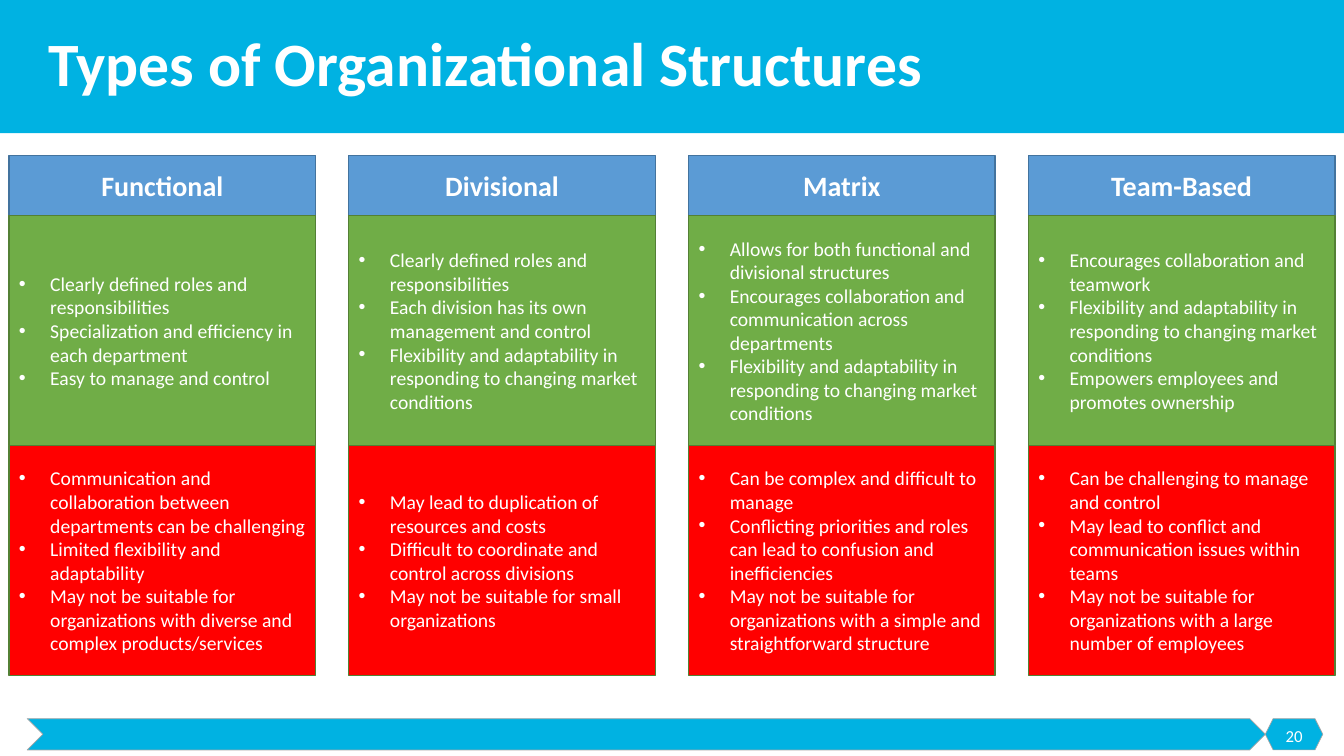
from lxml.etree import SubElement
from pptx import Presentation
from pptx.dml.color import RGBColor
from pptx.enum.shapes import MSO_SHAPE
from pptx.enum.text import MSO_ANCHOR, PP_ALIGN
from pptx.oxml.ns import qn
from pptx.util import Inches, Pt


def color(value):
    return RGBColor.from_string(value)


def add_box(kind, x, y, w, h, fill=None, line=None, weight=1, lines=(),
            size=14, bold=False, align=PP_ALIGN.LEFT, bullets=False):
    sp = s.shapes.add_shape(kind, Inches(x), Inches(y), Inches(w), Inches(h))
    sp.shadow.inherit = False
    if fill:
        sp.fill.solid()
        sp.fill.fore_color.rgb = color(fill)
    else:
        sp.fill.background()
    if line:
        sp.line.color.rgb = color(line)
        sp.line.width = Pt(weight)
    else:
        sp.line.fill.background()
    tf = sp.text_frame
    tf.word_wrap = True
    tf.vertical_anchor = MSO_ANCHOR.MIDDLE
    tf.text = "\n".join(lines)
    for p in tf.paragraphs:
        p.alignment = align
        if bullets:
            pPr = p._p.get_or_add_pPr()
            pPr.set("marL", str(Inches(0.31)))
            pPr.set("indent", str(-Inches(0.31)))
            SubElement(pPr, qn("a:buFont")).set("typeface", "Arial")
            SubElement(pPr, qn("a:buChar")).set("char", "•")
        for r in p.runs:
            r.font.name = "Calibri"
            r.font.size = Pt(size)
            r.font.bold = bold
            r.font.color.rgb = color("FFFFFF")
    return sp


STRUCTURES = [
    ("Functional",
     ["Clearly defined roles and responsibilities",
      "Specialization and efficiency in each department",
      "Easy to manage and control"],
     ["Communication and collaboration between departments can be challenging",
      "Limited flexibility and adaptability",
      "May not be suitable for organizations with diverse and complex products/services"]),
    ("Divisional",
     ["Clearly defined roles and responsibilities",
      "Each division has its own management and control",
      "Flexibility and adaptability in responding to changing market conditions"],
     ["May lead to duplication of resources and costs",
      "Difficult to coordinate and control across divisions",
      "May not be suitable for small organizations"]),
    ("Matrix",
     ["Allows for both functional and divisional structures",
      "Encourages collaboration and communication across departments",
      "Flexibility and adaptability in responding to changing market conditions"],
     ["Can be complex and difficult to manage",
      "Conflicting priorities and roles can lead to confusion and inefficiencies",
      "May not be suitable for organizations with a simple and straightforward structure"]),
    ("Team-Based",
     ["Encourages collaboration and teamwork",
      "Flexibility and adaptability in responding to changing market conditions",
      "Empowers employees and promotes ownership"],
     ["Can be challenging to manage and control",
      "May lead to conflict and communication issues within teams",
      "May not be suitable for organizations with a large number of employees"]),
]
WIDTH, HEIGHT = 13.33, 7.5
CYAN, GRAY = "00B2E2", "A5A5A5"
MARGIN, TOP = 0.09, 1.54
CARD_W, HEAD_H, BODY_H = 3.04, 0.6, 2.28
PITCH = (WIDTH - 2 * MARGIN - CARD_W) / (len(STRUCTURES) - 1)
BANNER_H = 1.32
FOOTER_Y, FOOTER_H = 7.13, 0.31
NUMBER_X, NUMBER_W = 12.55, 0.57

prs = Presentation()
prs.slide_width, prs.slide_height = Inches(WIDTH), Inches(HEIGHT)
s = prs.slides.add_slide(prs.slide_layouts[6])

add_box(MSO_SHAPE.RECTANGLE, 0, 0, WIDTH, BANNER_H, CYAN)
add_box(MSO_SHAPE.CHEVRON, 0.27, FOOTER_Y, NUMBER_X - 0.27, FOOTER_H, CYAN, GRAY, 0.5)
add_box(MSO_SHAPE.HEXAGON, NUMBER_X, FOOTER_Y, NUMBER_W, FOOTER_H, CYAN, GRAY, 0.5)
title = add_box(MSO_SHAPE.RECTANGLE, 0.38, 0, 12.74, BANNER_H,
                lines=["Types of Organizational Structures"], size=44, bold=True)
title.text_frame.paragraphs[0].line_spacing = 0.9
add_box(MSO_SHAPE.RECTANGLE, NUMBER_X, 7.1, NUMBER_W, 0.4,
        lines=["20"], size=12, align=PP_ALIGN.CENTER)

for col, (name, strengths, weaknesses) in enumerate(STRUCTURES):
    x = MARGIN + col * PITCH
    add_box(MSO_SHAPE.RECTANGLE, x, TOP, CARD_W, HEAD_H, "5B9BD5", "43739E",
            lines=[name], size=20, bold=True, align=PP_ALIGN.CENTER)
    for row, (fill, points) in enumerate([("70AD47", strengths), ("FF0000", weaknesses)]):
        add_box(MSO_SHAPE.RECTANGLE, x, TOP + HEAD_H + row * BODY_H, CARD_W, BODY_H,
                fill, "538035", lines=points, bullets=True)

prs.save("out.pptx")
